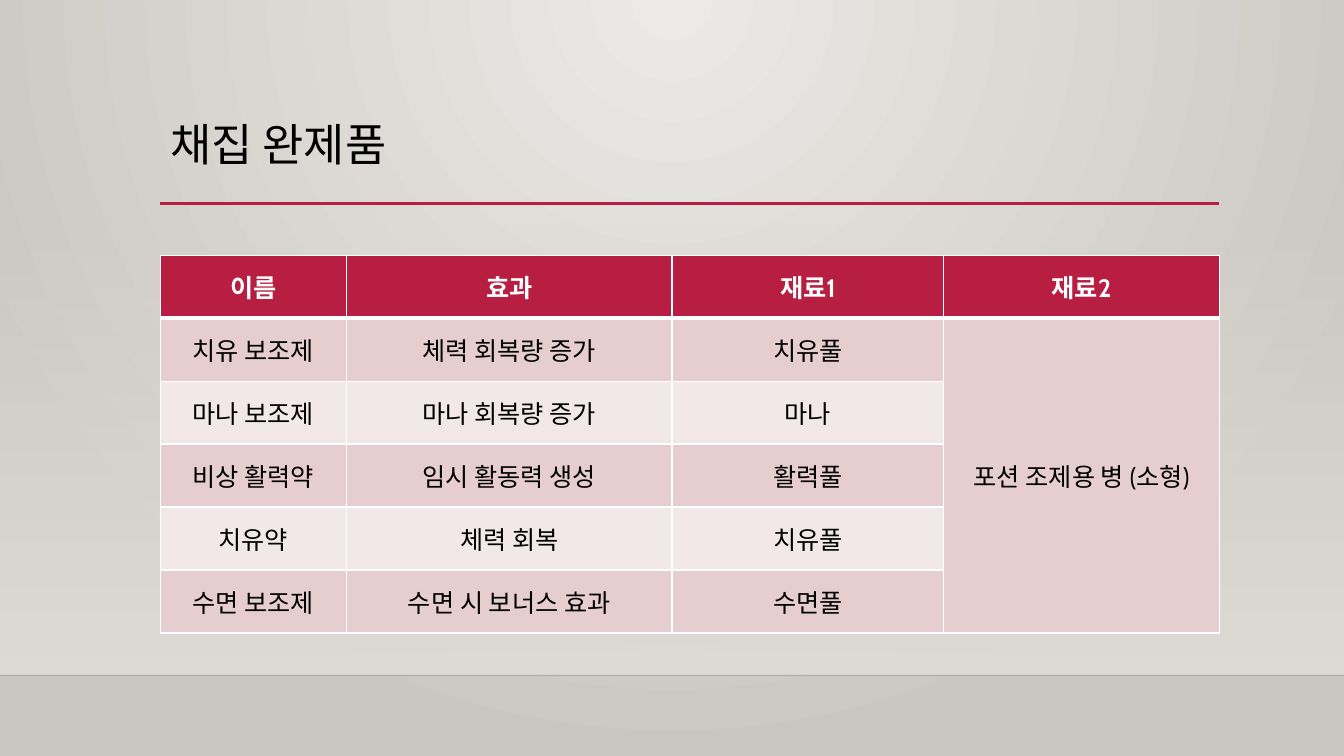
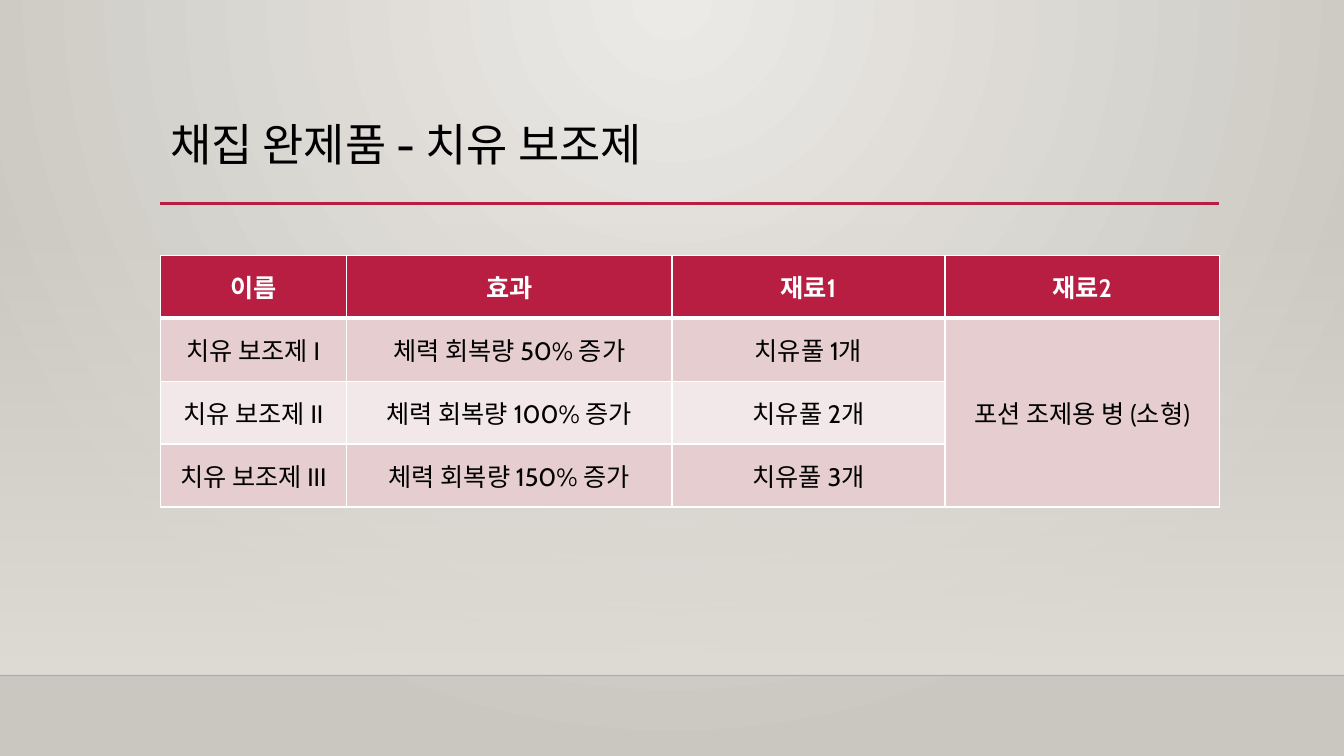
from dataclasses import dataclass

from lxml.etree import SubElement, fromstring
from pptx import Presentation
from pptx.dml.color import RGBColor
from pptx.dml.fill import FillFormat
from pptx.enum.shapes import MSO_CONNECTOR, MSO_SHAPE
from pptx.enum.text import MSO_ANCHOR, PP_ALIGN
from pptx.oxml.ns import nsdecls, qn
from pptx.oxml.xmlchemy import BaseOxmlElement
from pptx.slide import Slide
from pptx.table import _Cell as Cell
from pptx.text.text import _Paragraph as Para
from pptx.util import Pt


@dataclass(frozen=True)
class Theme:
    """Colours, font and type sizes."""
    font: str = "Cabin"
    title: float = 32
    body: float = 18
    ink: str = "000000"
    edge: str = "000001"
    white: str = "FFFFFF"
    red: str = "B71E42"
    dark: str = "E6CDCF"
    light: str = "F3E8E9"
    glow: str = "ECEAE7"
    rim: str = "CAC7C1"
    haze: str = "DFDBD5"


@dataclass(frozen=True)
class Box:
    """A place on the slide in points."""
    left: float
    top: float
    width: float
    height: float


@dataclass(frozen=True)
class Rule:
    """A level line in points."""
    left: float
    right: float
    top: float
    color: str
    weight: float
    alpha: int = 100


@dataclass(frozen=True)
class Stop:
    """A gradient stop in percent."""
    at: int
    color: str
    alpha: int = 100


@dataclass(frozen=True)
class Page:
    """The content of one slide."""
    title: str
    cols: tuple[float, ...]
    rows: tuple[tuple[str, ...], ...]


LOOK = Theme()
WIDE, HIGH = 960, 540
LEFT, SPAN = 114.5, 756.5
ROW = 45
TITLE = Box(LEFT, 63.5, SPAN, 82.5)
TABLE_TOP = 182.25
BAND = Box(0, 159, WIDE, 323.5)
RULES = (
    Rule(0, WIDE, 482.5, LOOK.edge, 1, 20),
    Rule(LEFT, LEFT + SPAN, 145.5, LOOK.red, 2.5),
)
HEAD = ("이름", "효과", "재료1", "재료2")
BOTTLE = "포션 조제용 병 (소형)"
RADIAL = (
    f'<a:path {nsdecls("a")} path="circle">'
    '<a:fillToRect l="43000" t="0" r="43000" b="100000"/></a:path>'
)
DOWN = f'<a:lin {nsdecls("a")} ang="5400000" scaled="0"/>'
PAGES = (
    Page("채집 완제품", (133, 232.5, 194.25, 196.75), (
        ("치유 보조제", "체력 회복량 증가", "치유풀"),
        ("마나 보조제", "마나 회복량 증가", "마나"),
        ("비상 활력약", "임시 활동력 생성", "활력풀"),
        ("치유약", "체력 회복", "치유풀"),
        ("수면 보조제", "수면 시 보너스 효과", "수면풀"),
    )),
    Page("채집 완제품 - 치유 보조제", (133, 232.5, 195, 196), tuple(
        (f"치유 보조제 {'I' * n}", f"체력 회복량 {50 * n}% 증가", f"치유풀 {n}개")
        for n in (1, 2, 3)
    )),
)


def tint(node: BaseOxmlElement, color: str, alpha: int = 100) -> None:
    """Add a colour with its opacity to an XML node."""
    shade = SubElement(node, qn("a:srgbClr"), val=color)
    if alpha < 100:
        SubElement(shade, qn("a:alpha"), val=str(alpha * 1000))


def blend(fill: FillFormat, root: BaseOxmlElement, stops: tuple[Stop, ...], path: str) -> None:
    """Give a fill gradient stops and a direction."""
    fill.gradient()
    grad = next(root.iter(qn("a:gradFill")))
    for child in list(grad):
        grad.remove(child)
    group = SubElement(grad, qn("a:gsLst"))
    for stop in stops:
        tint(SubElement(group, qn("a:gs"), pos=str(stop.at * 1000)), stop.color, stop.alpha)
    grad.append(fromstring(path))


def style(para: Para, size: float, color: str, bold: bool = False) -> None:
    """Set the font of a paragraph."""
    font = para.font
    font.name, font.size, font.bold = LOOK.font, Pt(size), bold
    font.color.rgb = RGBColor.from_string(color)


def draw_band(slide: Slide, box: Box) -> None:
    """Draw the haze that fades in towards the floor."""
    band = slide.shapes.add_shape(
        MSO_SHAPE.RECTANGLE, Pt(box.left), Pt(box.top), Pt(box.width), Pt(box.height))
    band.shadow.inherit = False
    band.line.fill.background()
    blend(band.fill, band.element, (Stop(0, LOOK.haze, 0), Stop(100, LOOK.haze)), DOWN)


def draw_rule(slide: Slide, rule: Rule) -> None:
    """Draw one level line."""
    line = slide.shapes.add_connector(
        MSO_CONNECTOR.STRAIGHT, Pt(rule.left), Pt(rule.top), Pt(rule.right), Pt(rule.top))
    line.line.width = Pt(rule.weight)
    line.line.color.rgb = RGBColor.from_string(rule.color)
    if rule.alpha < 100:
        shade = next(line.element.iter(qn("a:srgbClr")))
        SubElement(shade, qn("a:alpha"), val=str(rule.alpha * 1000))
    SubElement(line.element.spPr, qn("a:effectLst"))


def draw_title(slide: Slide, text: str, box: Box) -> None:
    """Write the slide title."""
    frame = slide.shapes.add_textbox(
        Pt(box.left), Pt(box.top), Pt(box.width), Pt(box.height)).text_frame
    frame.word_wrap = True
    frame.vertical_anchor = MSO_ANCHOR.MIDDLE
    para = frame.paragraphs[0]
    para.text = text
    para.line_spacing = 0.9
    style(para, LOOK.title, LOOK.ink)


def frame_cell(cell: Cell, top: float, base: float) -> None:
    """Put white borders around a cell."""
    props = cell._tc.get_or_add_tcPr()
    sides = (("L", 1), ("R", 1), ("T", top), ("B", base))
    for spot, (side, weight) in enumerate(sides):
        edge = SubElement(props, qn(f"a:ln{side}"), w=str(Pt(weight)))
        tint(SubElement(edge, qn("a:solidFill")), LOOK.white)
        props.insert(spot, edge)


def draw_cell(cell: Cell, text: str, row: int) -> None:
    """Write and colour one cell by its row."""
    head = row == 0
    fill = LOOK.red if head else LOOK.dark if row % 2 else LOOK.light
    cell.fill.solid()
    cell.fill.fore_color.rgb = RGBColor.from_string(fill)
    cell.vertical_anchor = MSO_ANCHOR.MIDDLE
    para = cell.text_frame.paragraphs[0]
    para.text = text
    para.alignment = PP_ALIGN.CENTER
    style(para, LOOK.body, LOOK.white if head else LOOK.ink, head)
    frame_cell(cell, 3 if row == 1 else 1, 3 if head else 1)


def draw_table(slide: Slide, page: Page) -> None:
    """Draw the table with its joined last column."""
    count = len(page.rows) + 1
    table = slide.shapes.add_table(
        count, len(HEAD), Pt(LEFT), Pt(TABLE_TOP), Pt(sum(page.cols)), Pt(ROW * count)).table
    for col, width in zip(table.columns, page.cols):
        col.width = Pt(width)
    for row in table.rows:
        row.height = Pt(ROW)
    body = [(*words, "" if spot else BOTTLE) for spot, words in enumerate(page.rows)]
    for row, words in enumerate([HEAD, *body]):
        for col, text in enumerate(words):
            draw_cell(table.cell(row, col), text, row)
    last = len(HEAD) - 1
    table.cell(1, last).merge(table.cell(count - 1, last))


def main() -> None:
    """Build and save the deck."""
    deck = Presentation()
    deck.slide_width, deck.slide_height = Pt(WIDE), Pt(HIGH)
    master = deck.slide_master
    blend(master.background.fill, master.element,
          (Stop(0, LOOK.glow), Stop(100, LOOK.rim)), RADIAL)
    for page in PAGES:
        slide = deck.slides.add_slide(deck.slide_layouts[6])
        draw_band(slide, BAND)
        for rule in RULES:
            draw_rule(slide, rule)
        draw_title(slide, page.title, TITLE)
        draw_table(slide, page)
    deck.save("out.pptx")


main()
